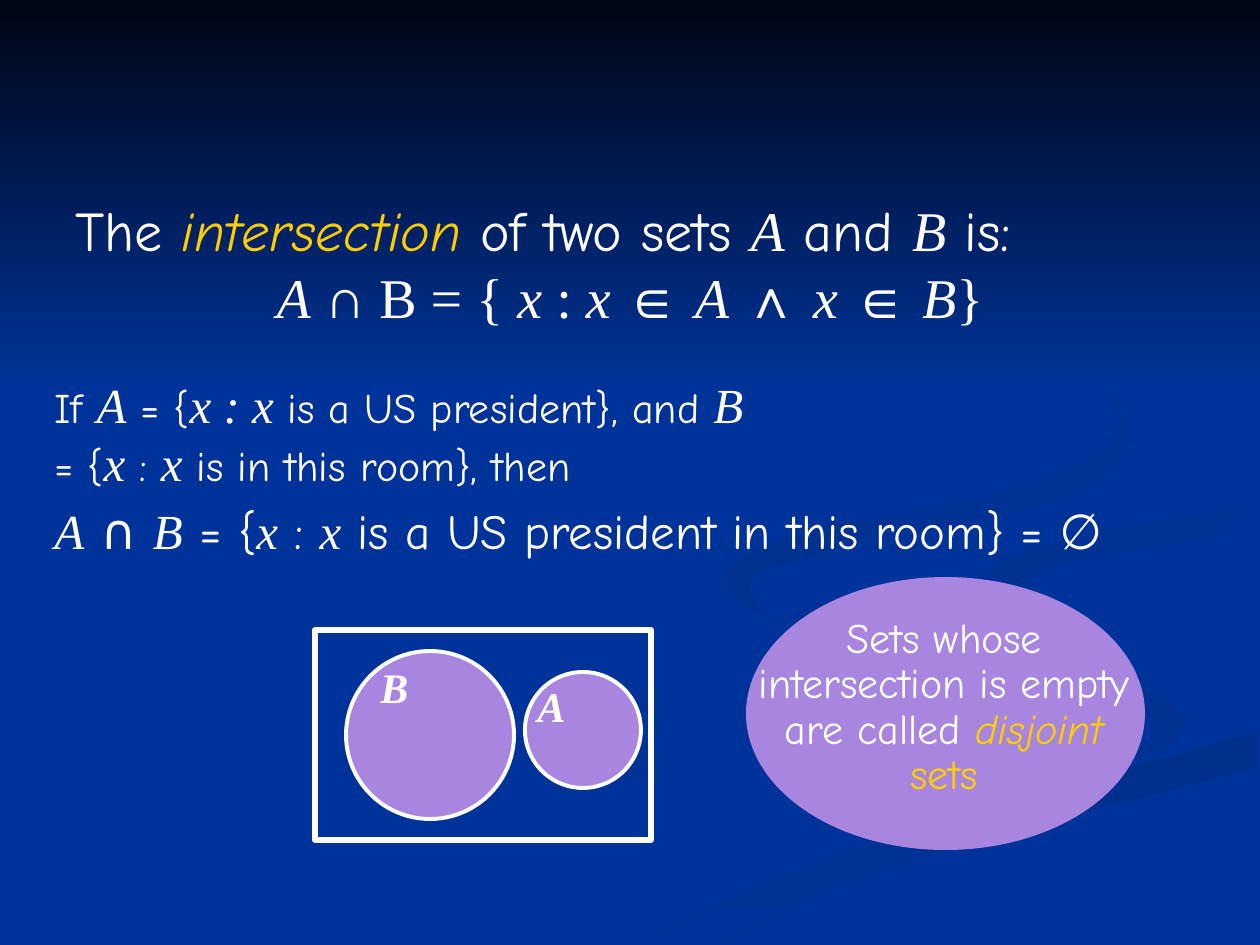
"""Build a slide on set intersection and disjoint sets."""
from dataclasses import dataclass
from typing import NamedTuple, Optional

from lxml.etree import SubElement
from pptx import Presentation
from pptx.dml.color import RGBColor
from pptx.enum.shapes import MSO_SHAPE as Shape
from pptx.enum.text import MSO_ANCHOR as Anchor, MSO_AUTO_SIZE as AutoSize, PP_ALIGN as Align
from pptx.oxml.ns import qn
from pptx.util import Pt

SCALE = 914400 / 126
WIDTH, HEIGHT = 1260, 945
STEPS = 5
PROSE, MATH = "Comic Neue", "Times New Roman"
WHITE = RGBColor(0xFF, 0xFF, 0xFF)
GOLD = RGBColor(0xFF, 0xCC, 0x00)
AMBER = RGBColor(0xFE, 0xCE, 0x00)
LILAC = RGBColor(0xA8, 0x86, 0xE0)
BLUE = RGBColor(0x00, 0x33, 0x99)
NIGHT = RGBColor(0x00, 0x05, 0x14)
SHADE = RGBColor(0x00, 0x31, 0x93)
DEEP = RGBColor(0x00, 0x2F, 0x8C)


class Box(NamedTuple):
    left: int
    top: int
    width: int
    height: int


class Words(NamedTuple):
    text: str
    size: int
    font: str = PROSE
    color: RGBColor = WHITE
    italic: bool = False
    bold: bool = False


@dataclass
class Ribbon:
    start: RGBColor
    end: RGBColor
    angle: int
    edges: list


@dataclass
class Figure:
    kind: Shape
    box: Box
    fill: Optional[RGBColor] = LILAC
    line_width: float = 0


@dataclass
class Caption:
    box: Box
    words: list
    spacing: float = 1.0
    align: Align = Align.LEFT


RIBBONS = [
    Ribbon(BLUE, SHADE, 45, [
        [(1188, 718), (1119, 674), (975, 634), (912, 585)],
        [(912, 585), (984, 653), (1109, 692), (1155, 726), (1126, 762)],
        [(1126, 762), (1166, 747), (1188, 718)]]),
    Ribbon(DEEP, BLUE, 90, [
        [(634, 944), (719, 944)],
        [(719, 944), (876, 872), (1257, 767)],
        [(1257, 732), (1004, 804), (794, 873), (634, 944)]]),
    Ribbon(SHADE, BLUE, 45, [
        [(1041, 625), (1014, 600), (1062, 564), (1257, 529)],
        [(1257, 507), (1070, 538), (984, 580), (1041, 625)]]),
    Ribbon(DEEP, BLUE, 45, [
        [(960, 294), (1089, 367), (1126, 433), (1077, 493), (861, 542), (751, 581), (784, 630)],
        [(784, 630), (727, 582), (788, 537), (997, 494), (1111, 446), (1096, 377), (960, 294)]]),
]


def px(length: int) -> int:
    return round(length * SCALE)


def smooth(edge: list) -> list:
    """Trace a Catmull-Rom curve through the points of an edge."""
    padded = [edge[0], *edge, edge[-1]]
    curve = [edge[0]]
    for a, b, c, d in zip(padded, padded[1:], padded[2:], padded[3:]):
        for step in range(1, STEPS + 1):
            t = step / STEPS
            curve.append(tuple(
                q + t * (r - p + t * (2 * p - 5 * q + 4 * r - s
                                      + t * (3 * (q - r) + s - p))) / 2
                for p, q, r, s in zip(a, b, c, d)))
    return curve


def alternate(parts: tuple, sizes: tuple, fonts: tuple, italics: tuple) -> list:
    """Give the parts two styles in turn."""
    return [Words(part, sizes[i % 2], fonts[i % 2], italic=italics[i % 2])
            for i, part in enumerate(parts)]


def prose_first(size: int, math_size: int, *parts: str) -> list:
    return alternate(parts, (size, math_size), (PROSE, MATH), (False, True))


def math_first(size: int, other_font: str, *parts: str) -> list:
    return alternate(parts, (size, size), (MATH, other_font), (True, False))


def symbol(letter: str) -> list:
    return [Words(letter, 24, MATH, italic=True, bold=True)]


DEFINITION = [Words("The ", 32), Words("intersection", 32, color=GOLD, italic=True),
              *prose_first(32, 32, " of two sets ", "A", " and ", "B", " is:")]
FORMULA = math_first(32, MATH, "A", " ∩ B = { ", "x", " : ", "x", " ∈ ", "A", " ∧ ", "x",
                     " ∈ ", "B", "}")
EXAMPLE = Caption(Box(42, 368, 735, 116), prose_first(
    24, 28, "If ", "A", " = {", "x : x", " is a US president}, and ", "B", " = {", "x", " : ",
    "x", " is in this room}, then"))
RESULT = Caption(Box(42, 494, 1165, 73), math_first(
    28, PROSE, "A", " ∩ ", "B", " = {", "x", " : ", "x",
    " is a US president in this room} = ∅"))
DISJOINT = Caption(Box(746, 611, 396, 194), [
    Words("Sets whose intersection is empty are called ", 24),
    Words("disjoint", 24, color=AMBER, italic=True),
    Words(" sets", 24, color=AMBER)], 0.9, Align.CENTER)
DIAGRAM = [
    Figure(Shape.OVAL, Box(746, 577, 399, 273)), DISJOINT,
    Figure(Shape.RECTANGLE, Box(315, 630, 336, 210), None, 3),
    Figure(Shape.OVAL, Box(346, 651, 168, 168), LILAC, 2.25),
    Caption(Box(368, 661, 63, 73), symbol("B"), 0.9),
    Figure(Shape.OVAL, Box(525, 672, 116, 116), LILAC, 2.25),
    Caption(Box(525, 680, 53, 63), symbol("A"), 0.9),
]


def shade(area, start: RGBColor, end: RGBColor, angle: int) -> None:
    """Fill an area with a gradient that turns clockwise by the angle."""
    area.shadow.inherit = False
    area.line.fill.background()
    area.fill.gradient()
    area.fill.gradient_angle = (360 - angle) % 360
    for stop, color in zip(area.fill.gradient_stops, (start, end)):
        stop.color.rgb = color


def draw_ribbon(shapes, ribbon: Ribbon) -> None:
    points = [point for edge in ribbon.edges for point in smooth(edge)]
    builder = shapes.build_freeform(*points[0], scale=SCALE)
    builder.add_line_segments(points[1:], close=True)
    shade(builder.convert_to_shape(), ribbon.start, ribbon.end, ribbon.angle)


def draw_figure(shapes, figure: Figure) -> None:
    drawn = shapes.add_shape(figure.kind, *map(px, figure.box))
    drawn.shadow.inherit = False
    if figure.fill is None:
        drawn.fill.background()
    else:
        drawn.fill.solid()
        drawn.fill.fore_color.rgb = figure.fill
    if figure.line_width:
        drawn.line.color.rgb = WHITE
        drawn.line.width = Pt(figure.line_width)
    else:
        drawn.line.fill.background()


def write(paragraph, words: list, spacing: float, align: Align) -> None:
    layout = {"line_spacing": spacing, "alignment": align, "space_before": Pt(0)}
    for key, value in layout.items():
        setattr(paragraph, key, value)
    for part in words:
        run = paragraph.add_run()
        run.text = part.text
        style = {"name": part.font, "size": Pt(part.size), "italic": part.italic,
                 "bold": part.bold}
        for key, value in style.items():
            setattr(run.font, key, value)
        run.font.color.rgb = part.color


def set_frame(frame) -> None:
    settings = {"word_wrap": True, "auto_size": AutoSize.NONE, "vertical_anchor": Anchor.TOP}
    for key, value in settings.items():
        setattr(frame, key, value)


def draw_caption(shapes, caption: Caption) -> None:
    frame = shapes.add_textbox(*map(px, caption.box)).text_frame
    set_frame(frame)
    write(frame.paragraphs[0], caption.words, caption.spacing, caption.align)


def fill_body(body, box: Box) -> None:
    body.left, body.top, body.width, body.height = map(px, box)
    set_frame(body.text_frame)
    lines = [(body.text_frame.paragraphs[0], DEFINITION, Align.LEFT),
             (body.text_frame.add_paragraph(), FORMULA, Align.CENTER)]
    for paragraph, words, align in lines:
        properties = paragraph._p.get_or_add_pPr()
        properties.set("marL", str(px(47)))
        properties.set("indent", str(-px(47)))
        SubElement(properties, qn("a:buNone"))
        write(paragraph, words, 1.0, align)


def main() -> None:
    deck = Presentation()
    deck.slide_width, deck.slide_height = px(WIDTH), px(HEIGHT)
    slide = deck.slides.add_slide(deck.slide_layouts[1])
    slide.background.fill.solid()
    slide.background.fill.fore_color.rgb = BLUE
    shapes = slide.shapes
    title, body = slide.placeholders
    title._element.getparent().remove(title._element)
    for ribbon in RIBBONS:
        draw_ribbon(shapes, ribbon)
    sky = shapes.add_shape(Shape.RECTANGLE, *map(px, Box(0, 0, WIDTH, 388)))
    shade(sky, NIGHT, BLUE, 90)
    body._element.getparent().append(body._element)
    fill_body(body, Box(63, 189, 1134, 147))
    for item in [EXAMPLE, RESULT, *DIAGRAM]:
        draw = draw_caption if isinstance(item, Caption) else draw_figure
        draw(shapes, item)
    deck.save("out.pptx")


if __name__ == "__main__":
    main()
